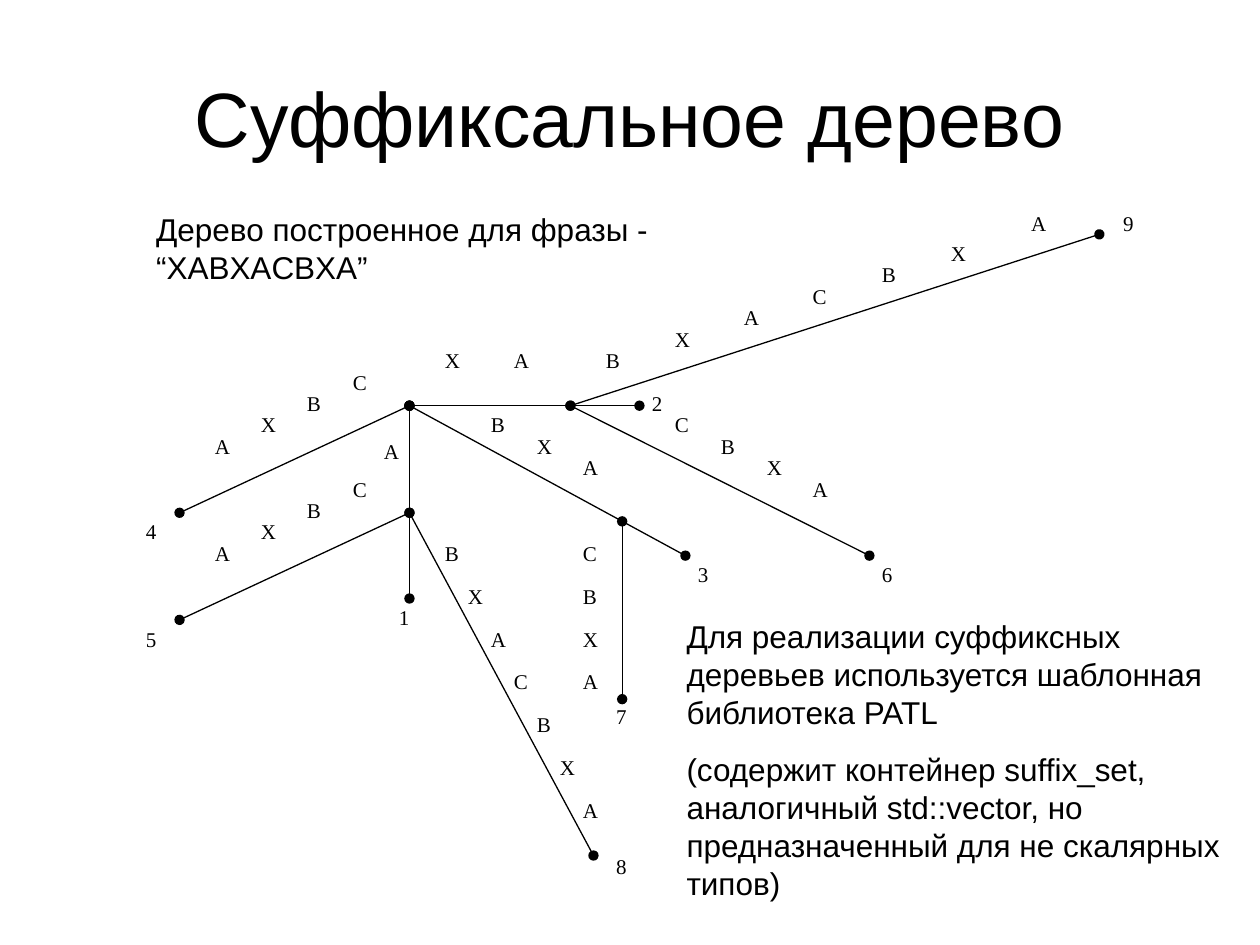
from lxml import etree
from pptx import Presentation
from pptx import util as u
from pptx.dml.color import RGBColor
from pptx.enum import shapes, text
from pptx.oxml import ns

HUES = {"ink": "000000", "paper": "FFFFFF"}
HEAD = {"size": u.Pt(44), "name": "Arial"}
BODY = {"size": u.Pt(18), "name": "Arial"}
MARK = {"size": u.Pt(12), "name": "Times New Roman"}

EDGES = [
    ((12, 13), (2, 18)),
    ((12, 8), (12, 17)),
    ((12, 8), (22, 8)),
    ((19, 8), (32, 15)),
    ((21.25, 21.7), (21.25, 13.4)),
    ((12, 8), (2, 13)),
    ((12, 8), (24, 15)),
    ((20, 29), (12, 13)),
    ((42, 0), (19, 8)),
]
WORDS = [
    ("CBXA", (9, 6), (-2, 1)),
    ("CBXA", (9, 11), (-2, 1)),
    ("XA", (13, 5), (3, 0)),
    ("BXACBX", (20, 5), (3, -1)),
    ("A", (38.5, -1.4), (0, 0)),
    ("BXA", (15, 8), (2, 1)),
    ("CBXA", (23, 8), (2, 1)),
    ("CBXA", (19, 14), (0, 2)),
    ("BXACBXA", (13, 14), (1, 2)),
    ("A", (10.35, 9.25), (0, 0)),
]
LEAVES = [(11, 17), (22, 7), (24, 15), (0, 13), (0, 18), (32, 15),
          (20.45, 21.6), (20.45, 28.6), (42.5, -1.4)]


def hue(name):
    """Return the named colour."""
    return RGBColor.from_string(HUES[name])


def write(host, box, lines, face, gap=0, align=text.PP_ALIGN.LEFT,
          anchor=text.MSO_ANCHOR.TOP):
    """Place lines of text in a box given in inches and return its shape."""
    item = host.add_textbox(*map(u.Inches, box))
    frame = item.text_frame
    frame.word_wrap = True
    frame.vertical_anchor = anchor
    frame.text = "\n".join(lines)
    for para in frame.paragraphs:
        para.alignment = align
        para.space_before = u.Pt(gap)
        para.font.color.rgb = hue("ink")
        for key, val in face.items():
            setattr(para.font, key, val)
    return item


def link(host, start, end):
    """Draw an edge with a round dot at both ends."""
    edge = host.add_connector(shapes.MSO_CONNECTOR.STRAIGHT,
                              *map(u.Inches, start + end))
    edge.line.color.rgb = hue("ink")
    edge.line.width = u.Pt(0.75)
    pen = edge.line._get_or_add_ln()
    for tip in ("a:headEnd", "a:tailEnd"):
        etree.SubElement(pen, ns.qn(tip), type="oval")
    etree.SubElement(edge._element.spPr, ns.qn("a:effectLst"))


def tree(slide, box):
    """Draw the suffix tree on a grid of 44 by 30 steps in the box."""
    left, top, wide, high = box
    host = slide.shapes.add_group_shape().shapes

    def spot(col, row):
        """Turn a grid point into inches."""
        return left + col * wide / 44, top + row * high / 30

    def mark(sign, col, row):
        """Write one sign at a grid point."""
        return write(host, spot(col, row) + (0.36, 0.34), [sign], MARK)

    for start, end in EDGES:
        link(host, spot(*start), spot(*end))
    for word, (col, row), (right, down) in WORDS:
        for i, sign in enumerate(word):
            item = mark(sign, col + i * right, row + i * down)
            if word == "XA":
                item.fill.solid()
                item.fill.fore_color.rgb = hue("paper")
    for num, point in enumerate(LEAVES, 1):
        mark(str(num), *point)


def title(slide, box):
    """Write the centred heading."""
    write(slide.shapes, box, ["Суффиксальное дерево"], HEAD,
          align=text.PP_ALIGN.CENTER, anchor=text.MSO_ANCHOR.MIDDLE)


def note(slide, box, lines):
    """Write a block of body text."""
    write(slide.shapes, box, lines, BODY, gap=11.2)


def main():
    """Build and save the slide."""
    deck = Presentation()
    deck.slide_width, deck.slide_height = u.Inches(10), u.Inches(7.5)
    slide = deck.slides.add_slide(deck.slide_layouts[6])
    title(slide, (0.5, 0.3, 9, 1.25))
    note(slide, (1.14, 1.62, 4.49, 0.7),
         ["Дерево построенное для фразы - “XABXACBXA”"])
    tree(slide, (1.06, 1.86, 8.03, 5.1))
    note(slide, (5.35, 4.85, 4.65, 2.36), [
        "Для реализации суффиксных деревьев используется шаблонная "
        "библиотека PATL",
        "(содержит контейнер suffix_set, аналогичный std::vector, но "
        "предназначенный для не скалярных типов)",
    ])
    deck.save("out.pptx")


if __name__ == "__main__":
    main()
